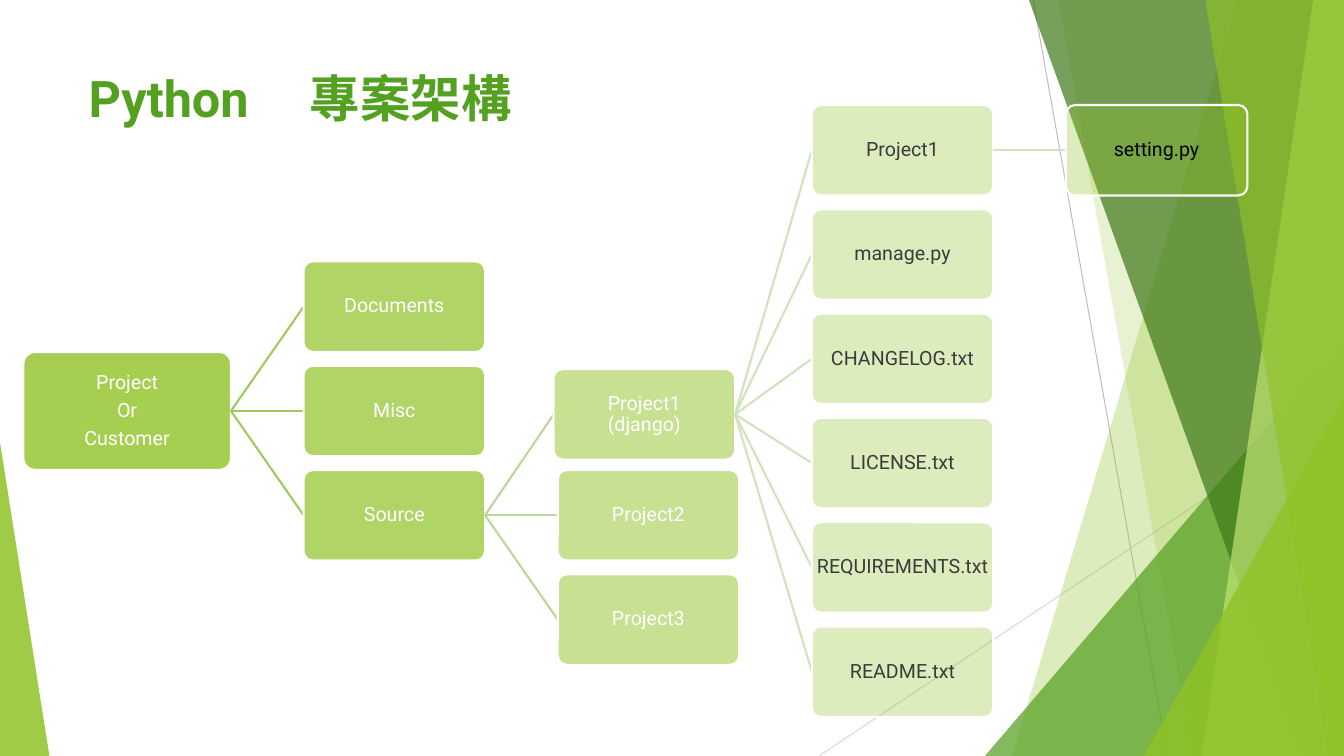
"""Build the slide that shows the folder tree of a Python project."""
from collections import namedtuple

from lxml import etree
from pptx import Presentation
from pptx.dml.color import RGBColor
from pptx.enum import shapes, text
from pptx.oxml import ns
from pptx.util import Pt

Box = namedtuple("Box", "left top width height")
Node = namedtuple("Node", "label row children nudge", defaults=((), (0, 0)))
Level = namedtuple("Level", "opacity ink branch")

FONT = "Roboto"
WHITE = RGBColor(0xFF, 0xFF, 0xFF)
BLACK = RGBColor(0x00, 0x00, 0x00)
CHARCOAL = RGBColor(0x3B, 0x3B, 0x3B)
GREY = RGBColor(0xBF, 0xBF, 0xBF)
PALE_GREY = RGBColor(0xD9, 0xD9, 0xD9)
LIME = RGBColor(0x90, 0xC2, 0x26)
LIGHT_LIME = RGBColor(0xC0, 0xE4, 0x74)
GREEN = RGBColor(0x54, 0xA0, 0x21)
DARK_GREEN = RGBColor(0x3F, 0x78, 0x19)
BRANCH_DARK = RGBColor(0xA0, 0xC9, 0x62)
BRANCH_MID = RGBColor(0xBB, 0xD7, 0x99)
BRANCH_PALE = RGBColor(0xD1, 0xE3, 0xBE)

SLIDE = Box(0, 0, 960, 540)
TITLE = Box(56.2, 23, 339, 133)
TREE = Box(16.7, 75, 874.7, 437.1)

NODE_WIDTH, NODE_HEIGHT = 129.6, 64.6
ROOT_WIDTH, ROOT_HEIGHT = 148.3, 84.2
LEVEL_GAP, ROW_PITCH = 51.9, 74.5

LEVELS = (
    Level(80, WHITE, None),
    Level(70, WHITE, BRANCH_DARK),
    Level(50, WHITE, BRANCH_MID),
    Level(30, CHARCOAL, BRANCH_PALE),
    Level(30, BLACK, BRANCH_PALE),
)
FILES = ("manage.py", "CHANGELOG.txt", "LICENSE.txt", "REQUIREMENTS.txt", "README.txt")
DJANGO = Node(
    "Project1\v(django)", 2.5,
    (Node("Project1", 0, (Node("setting.py", 0),)),
     *(Node(name, row) for row, name in enumerate(FILES, 1))),
    (-2.9, 2.4))
SOURCE = Node("Source", 3.5, (DJANGO, Node("Project2", 3.5), Node("Project3", 4.5)))
ROOT = Node("Project\nOr\nCustomer", 2.5,
            (Node("Documents", 1.5), Node("Misc", 2.5), SOURCE))


def lengths(*points):
    """Turn numbers of points into lengths."""
    return [Pt(value) for value in points]


def write(frame, content, size, color, bold=False, align=text.PP_ALIGN.LEFT,
          spacing=1.0, after=0):
    """Put text into a frame, one paragraph a line, in the given format."""
    frame.word_wrap = True
    frame.text = content
    for para in frame.paragraphs:
        para.alignment = align
        para.line_spacing = spacing
        para.space_after = Pt(after)
        for span in para.runs:
            span.font.name = FONT
            span.font.size = Pt(size)
            span.font.bold = bold
            span.font.color.rgb = color


def paint(shape, color, opacity):
    """Give a shape a translucent fill without line or shadow."""
    shape.shadow.inherit = False
    shape.fill.solid()
    shape.fill.fore_color.rgb = color
    shape.line.fill.background()
    tint = shape.element.spPr.find(ns.qn("a:solidFill"))[0]
    etree.SubElement(tint, ns.qn("a:alpha")).set("val", str(opacity * 1000))


def add_line(page, start, end, color, weight):
    """Draw a straight line without shadow."""
    line = page.shapes.add_connector(
        shapes.MSO_CONNECTOR.STRAIGHT, *lengths(*start, *end))
    line.line.color.rgb = color
    line.line.width = Pt(weight)
    etree.SubElement(line.element.spPr, ns.qn("a:effectLst"))
    return line


def add_band(page, box, top_x, bottom_x, color, opacity):
    """Draw a facet from a slanted left edge to the right side of the box."""
    right, bottom = box.left + box.width, box.top + box.height
    outline = page.shapes.build_freeform(*lengths(box.left + top_x, box.top))
    outline.add_line_segments(
        [lengths(right, box.top), lengths(right, bottom),
         lengths(box.left + bottom_x, bottom)])
    paint(outline.convert_to_shape(), color, opacity)


def add_corner(page, box, width, height, apex, color, opacity):
    """Draw a right triangle in the lower left (apex 0) or right (apex 1) corner."""
    left = box.left + apex * (box.width - width)
    triangle = page.shapes.add_shape(
        shapes.MSO_SHAPE.ISOSCELES_TRIANGLE,
        *lengths(left, box.top + box.height - height, width, height))
    triangle.adjustments[0] = apex
    paint(triangle, color, opacity)


def draw_facets(page, box):
    """Draw the green facets at the sides of the box."""
    right, bottom = box.left + box.width, box.top + box.height
    add_line(page, (box.left + 738, box.top), (box.left + 834, bottom), GREY, 0.75)
    add_line(page, (right, box.top + 290), (box.left + 585, bottom), PALE_GREY, 0.75)
    add_band(page, box, 884, 723, LIME, 30)
    add_band(page, box, 756, 852, LIME, 20)
    add_corner(page, box, 256.5, 300, 1, GREEN, 72)
    add_band(page, box, 735, 929.5, DARK_GREEN, 70)
    add_band(page, box, 938, 858.5, LIGHT_LIME, 70)
    add_band(page, box, 861, 949, LIME, 65)
    add_corner(page, box, 143, 257, 1, LIME, 80)
    add_corner(page, box, 35.3, 224, 0, LIME, 85)


def draw_title(page, box):
    """Write the slide title, its two parts set apart by a tab stop."""
    frame = page.shapes.add_textbox(*lengths(*box)).text_frame
    write(frame, "Python\t專案架構", size=36, color=GREEN, bold=True, spacing=1.5)
    stops = etree.SubElement(frame.paragraphs[0].alignment is not None
                             and frame.paragraphs[0].runs[0].font and
                             frame.paragraphs[0].line_spacing and
                             page.shapes[-1].element.find(".//" + ns.qn("a:pPr")),
                             ns.qn("a:tabLst"))
    etree.SubElement(stops, ns.qn("a:tab"), pos=str(Pt(158)), algn="l")


def node_box(box, node, depth):
    """Return the place of a node in the grid of the tree."""
    middle = box.top + node.row * ROW_PITCH + NODE_HEIGHT / 2
    if depth == 0:
        return Box(box.left, middle - ROOT_HEIGHT / 2, ROOT_WIDTH, ROOT_HEIGHT)
    left = (box.left + ROOT_WIDTH + LEVEL_GAP
            + (depth - 1) * (NODE_WIDTH + LEVEL_GAP))
    return Box(left + node.nudge[0], middle - NODE_HEIGHT / 2 + node.nudge[1],
               NODE_WIDTH, NODE_HEIGHT)


def draw_tree(page, box, node, depth=0, parent=None):
    """Draw a node, its branch from the parent and all nodes below it."""
    level, place = LEVELS[depth], node_box(box, node, depth)
    branch = None
    if parent is not None:
        branch = add_line(page, (0, 0), (place.left, place.top), level.branch, 1.5)
        branch.begin_connect(parent, 3)
    card = page.shapes.add_shape(
        shapes.MSO_SHAPE.ROUNDED_RECTANGLE, *lengths(*place))
    card.adjustments[0] = 0.1
    paint(card, LIME, level.opacity)
    card.line.color.rgb = WHITE
    card.line.width = Pt(1.5)
    frame = card.text_frame
    frame.margin_left = frame.margin_right = Pt(1)
    frame.margin_top = frame.margin_bottom = Pt(1)
    frame.vertical_anchor = text.MSO_ANCHOR.MIDDLE
    write(frame, node.label, size=14, color=level.ink,
          align=text.PP_ALIGN.CENTER, spacing=0.9, after=4.9)
    if branch is not None:
        branch.end_connect(card, 1)
    for child in node.children:
        draw_tree(page, box, child, depth + 1, card)


def main():
    """Build and save the deck."""
    deck = Presentation()
    deck.slide_width, deck.slide_height = lengths(SLIDE.width, SLIDE.height)
    page = deck.slides.add_slide(deck.slide_layouts[6])
    draw_facets(page, SLIDE)
    draw_title(page, TITLE)
    draw_tree(page, TREE, ROOT)
    deck.save("out.pptx")


if __name__ == "__main__":
    main()
